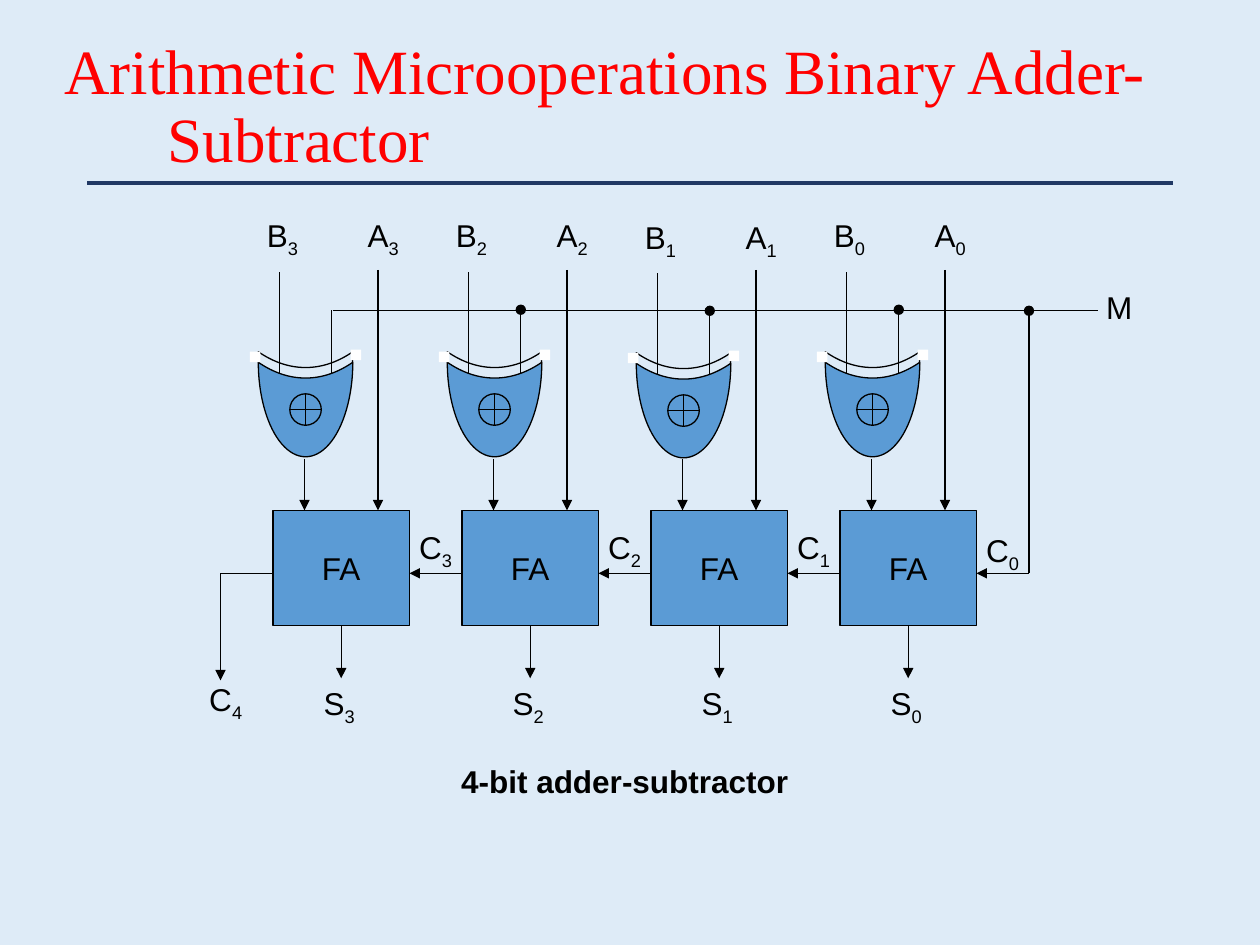
"""Build a slide with the block diagram of a 4-bit adder-subtractor."""
from lxml import etree
from pptx import Presentation
from pptx import util as u
from pptx.dml.color import RGBColor
from pptx.enum import shapes, text
from pptx.oxml.ns import qn

COLORS = {
    "background": "DEEBF7",
    "rule": "203864",
    "title": "FF0000",
    "block": "5B9BD5",
    "ink": "000000",
    "white": "FFFFFF",
}
COLUMNS, ROWS = 120, 90
STAGE_PITCH = 18
LABEL_WIDTH, LABEL_HEIGHT = 7, 4.8
BLOCK_WIDTH, BLOCK_HEIGHT = 13, 11
BLOCK_TOP, BUS_ROW, CARRY_ROW = 48.6, 29.6, 54.6
OVAL = shapes.MSO_SHAPE.FLOWCHART_OR


def cells(count):
    """Turn a count of grid cells, twelve to the inch, into a length."""
    return u.Inches(count / 12)


def color(name):
    """Look up a colour by its role."""
    return RGBColor.from_string(COLORS[name])


def write(frame, content, subscript="", font="Arial", size=18, ink="ink", bold=False,
          align=text.PP_ALIGN.CENTER, anchor=text.MSO_ANCHOR.TOP):
    """Write one paragraph, with an optional subscript, and return it."""
    frame.word_wrap = True
    frame.auto_size = text.MSO_AUTO_SIZE.NONE
    frame.vertical_anchor = anchor
    paragraph = frame.paragraphs[0]
    paragraph.alignment = align
    for part, baseline in ((content, None), (subscript, "-25000")):
        if not part:
            continue
        run = paragraph.add_run()
        run.text = part
        run.font.name = font
        run.font.size = u.Pt(size)
        run.font.bold = bold
        run.font.color.rgb = color(ink)
        if baseline:
            run.font._element.set("baseline", baseline)
    return paragraph


def add_label(slide, left, top, content, subscript="", width=LABEL_WIDTH, **style):
    """Place a text box on the grid."""
    box = slide.shapes.add_textbox(cells(left), cells(top), cells(width), cells(LABEL_HEIGHT))
    write(box.text_frame, content, subscript, **style)


def add_block(slide, kind, left, top, width, height, fill=None, line="ink", rotation=0):
    """Place a preset shape on the grid."""
    shape = slide.shapes.add_shape(kind, cells(left), cells(top), cells(width), cells(height))
    shape.shadow.inherit = False
    shape.rotation = rotation
    if fill:
        shape.fill.solid()
        shape.fill.fore_color.rgb = color(fill)
    else:
        shape.fill.background()
    if line:
        shape.line.color.rgb = color(line)
        shape.line.width = u.Pt(0.75)
    else:
        shape.line.fill.background()
    return shape


def add_wire(slide, start, end, head=None, tail=None, ink="ink", width=0.75):
    """Draw a straight wire between two grid points."""
    wire = slide.shapes.add_connector(
        shapes.MSO_CONNECTOR.STRAIGHT, *(cells(value) for value in (*start, *end)))
    wire.line.color.rgb = color(ink)
    wire.line.width = u.Pt(width)
    outline = wire.line._get_or_add_ln()
    for tag, kind in (("a:headEnd", head), ("a:tailEnd", tail)):
        if kind:
            etree.SubElement(outline, qn(tag), type=kind)
    etree.SubElement(wire._element.spPr, qn("a:effectLst"))
    return wire


def add_title(slide):
    """Format the title and draw the rule below it."""
    title = slide.shapes.title
    title.left, title.top = u.Inches(0.41), u.Inches(0.28)
    title.width, title.height = u.Inches(9.59), u.Inches(1.15)
    paragraph = write(
        title.text_frame, "Arithmetic Microoperations Binary Adder-Subtractor",
        font="Times New Roman", size=36, ink="title",
        align=text.PP_ALIGN.LEFT, anchor=text.MSO_ANCHOR.MIDDLE)
    paragraph.line_spacing = 0.9
    properties = paragraph._p.get_or_add_pPr()
    properties.set("marL", str(u.Inches(0.82)))
    properties.set("indent", str(-u.Inches(0.82)))
    add_wire(slide, (8.3, 17.4), (111.7, 17.4), ink="rule", width=2.25)


def add_gate(slide, left, top, tapped):
    """Draw an exclusive-or gate with its two input wires."""
    moon, square = shapes.MSO_SHAPE.MOON, shapes.MSO_SHAPE.RECTANGLE
    for drop, fill in ((0, None), (1, "block")):
        curve = add_block(slide, moon, left, top + drop, 9, 9, fill, rotation=270)
        curve.adjustments[0] = 0.833
    for shift, lift in ((-0.8, 0), (8.8, 0.2)):
        add_block(slide, square, left + shift, top - lift, 1, 1, "white", line=None)
    add_wire(slide, (left + 2, top + 2), (left + 2, top - 7.6))
    add_wire(slide, (left + 7, top + 2), (left + 7, top - 4), tail="oval" if tapped else None)
    add_block(slide, OVAL, left + 3, top + 4, 3, 3, "block", rotation=270)


def add_stage(slide, left, top, bit):
    """Draw one full adder with its gate, wires and labels."""
    last = bit == 3
    block = add_block(
        slide, shapes.MSO_SHAPE.RECTANGLE, left, top, BLOCK_WIDTH, BLOCK_HEIGHT, "block")
    write(block.text_frame, "FA", anchor=text.MSO_ANCHOR.MIDDLE)
    add_gate(slide, left - 1.4, top - 15.1 + (0.1 if bit == 1 else 0), tapped=not last)
    add_wire(slide, (left + 3, top - 4.9), (left + 3, top), tail="triangle")
    add_wire(slide, (left + 10, top - 22.9), (left + 10, top), tail="triangle")
    add_wire(slide, (left + 18, CARRY_ROW), (left + BLOCK_WIDTH, CARRY_ROW), tail="triangle")
    middle, bottom = left + BLOCK_WIDTH / 2, top + BLOCK_HEIGHT
    output = add_wire(slide, (middle, bottom), (middle, bottom + 5), tail="triangle")
    output.begin_connect(block, 2)
    labels = (("B", -2.6, -28.6), ("A", 7, -28.6), ("S", 2.8, 16), ("C", 12, 1.1))
    for letter, across, down in labels:
        nudge = 0.15 if bit == 1 and letter in "AB" else 0.3 if bit == 0 and letter == "C" else 0
        add_label(slide, left + across, top + down + nudge, letter, str(bit))


def add_mode_and_carry(slide, left, right):
    """Draw the mode bus, its drop to the first carry and the last carry out."""
    add_wire(slide, (left + 5.7, BUS_ROW), (right + 6.6, BUS_ROW))
    add_wire(slide, (right, BUS_ROW), (right, CARRY_ROW), head="oval")
    add_label(slide, right + 5.6, BUS_ROW - 2.8, "M", width=6)
    add_wire(slide, (left, CARRY_ROW), (left - 5, CARRY_ROW))
    add_wire(slide, (left - 5, CARRY_ROW), (left - 5, CARRY_ROW + 10.2), tail="triangle")
    add_label(slide, left - 8, CARRY_ROW + 9.6, "C", "4")


def main():
    """Build and save the presentation."""
    presentation = Presentation()
    presentation.slide_width, presentation.slide_height = cells(COLUMNS), cells(ROWS)
    slide = presentation.slides.add_slide(presentation.slide_layouts[5])
    slide.background.fill.solid()
    slide.background.fill.fore_color.rgb = color("background")
    add_title(slide)
    first = 26
    for bit in range(4):
        add_stage(slide, first + (3 - bit) * STAGE_PITCH, BLOCK_TOP, bit)
    add_mode_and_carry(slide, first, first + 4 * STAGE_PITCH)
    add_label(slide, 37, 72, "4-bit adder-subtractor", width=45, bold=True)
    presentation.save("out.pptx")


if __name__ == "__main__":
    main()
